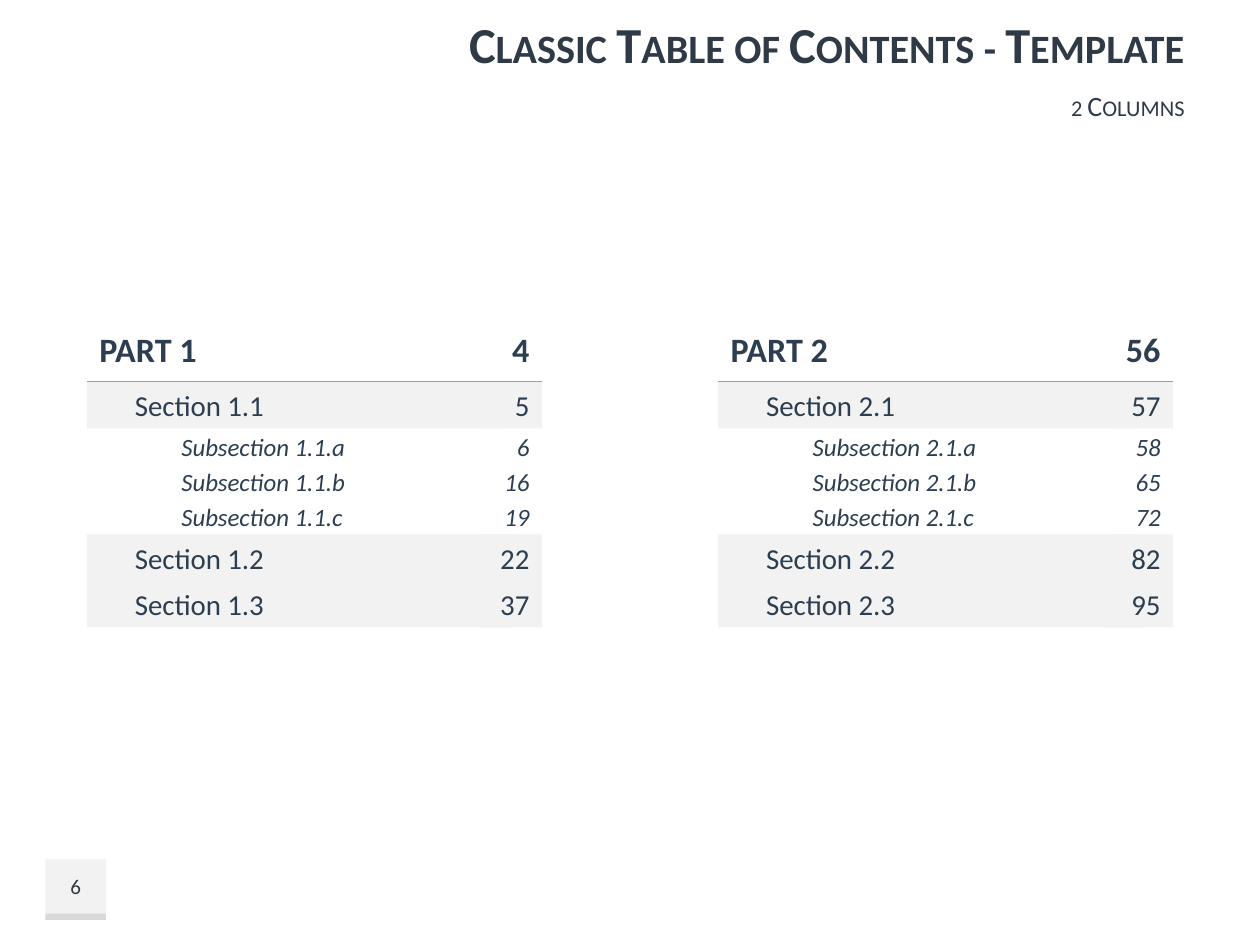
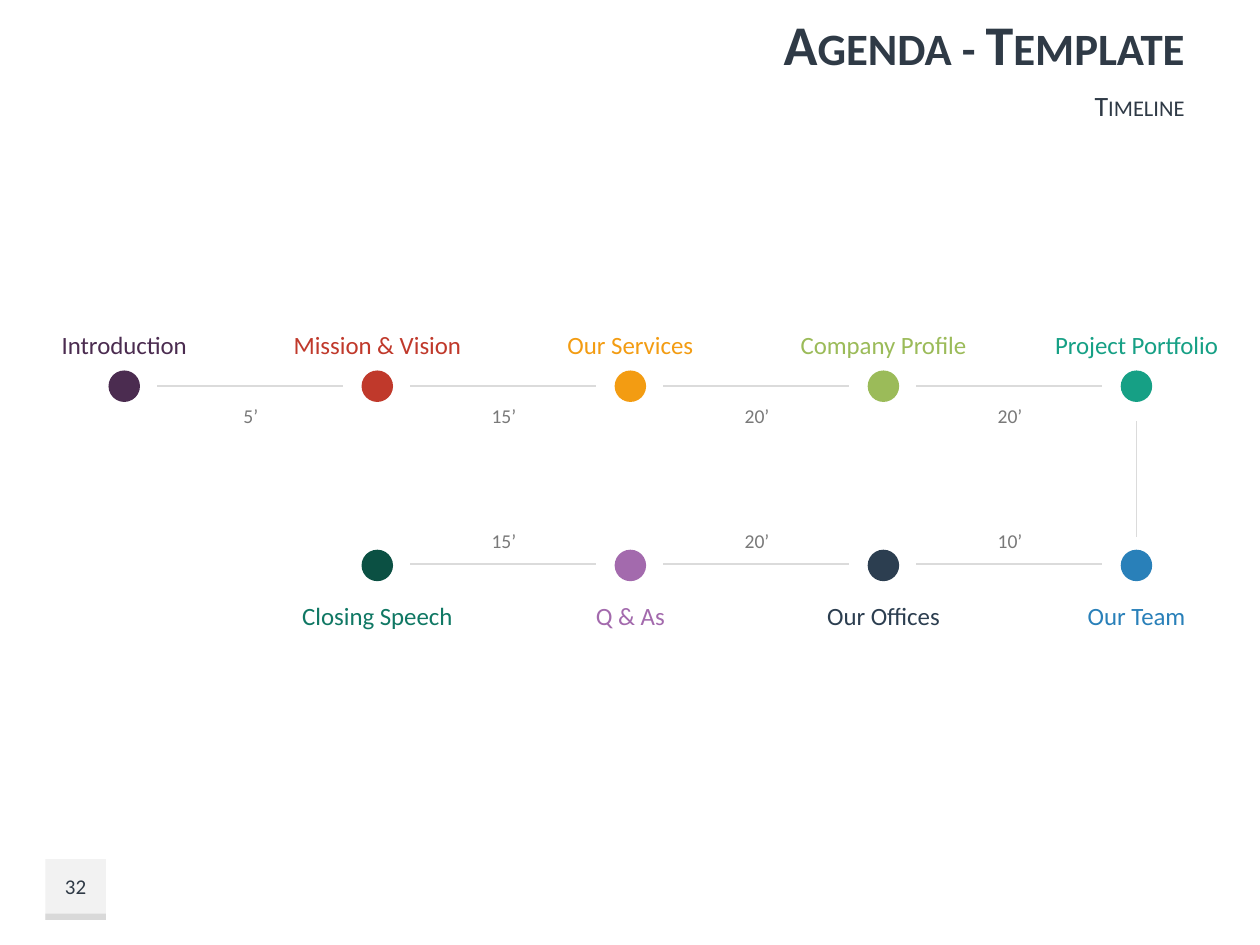
import lxml.etree
import pptx
import pptx.dml.color
import pptx.enum.shapes
import pptx.enum.text
import pptx.oxml.ns
import pptx.util

Pt = pptx.util.Pt
ALIGN = pptx.enum.text.PP_ALIGN
ANCHOR = pptx.enum.text.MSO_ANCHOR
SHAPE = pptx.enum.shapes.MSO_SHAPE

INK, NAVY, PALE, SHADE = "2F3A46", "2C3E50", "F2F2F2", "D9D9D9"
RULE, TRACK, NOTE = "95A5A6", "DBDBDB", "797979"


def paint(text):
    return pptx.dml.color.RGBColor.from_string(text)


class Deck:
    """Hold the shared style and the current slide, and draw each element."""

    def __init__(self):
        self.file = pptx.Presentation()
        self.file.slide_width, self.file.slide_height = Pt(720), Pt(540)
        self.font = "Calibri"
        self.slide = None

    def page(self, title, size, sub, number):
        self.slide = self.file.slides.add_slide(self.file.slide_layouts[6])
        self.block((25.9, 491, 34.6, 34.6), PALE)
        self.block((25.9, 522, 34.6, 3.6), SHADE)
        self.text((229.7, 49, 454.3, 22.3), sub, 16, INK, ALIGN.RIGHT, small=True)
        self.text((229.7, 0, 454.3, 49), title, size, INK, ALIGN.RIGHT,
                  bold=True, small=True)
        self.text((25.9, 491, 34.6, 31), number, 12, INK, ALIGN.CENTER)

    def block(self, box, fill, kind=SHAPE.RECTANGLE):
        shape = self.slide.shapes.add_shape(kind, *map(Pt, box))
        shape.shadow.inherit = False
        shape.fill.solid()
        shape.fill.fore_color.rgb = paint(fill)
        shape.line.fill.background()
        return shape

    def text(self, box, words, size, ink, align=ALIGN.LEFT, anchor=ANCHOR.MIDDLE,
             fill=None, left=7.2, bold=False, slant=False, small=False, grow=False):
        if fill:
            shape = self.block(box, fill)
        else:
            shape = self.slide.shapes.add_textbox(*map(Pt, box))
        frame = shape.text_frame
        frame.word_wrap = True
        frame.vertical_anchor = anchor
        frame.margin_left = Pt(left)
        if grow:
            frame.auto_size = pptx.enum.text.MSO_AUTO_SIZE.SHAPE_TO_FIT_TEXT
        frame.text = words
        para = frame.paragraphs[0]
        para.alignment = align
        font = para.runs[0].font
        font.name, font.size = self.font, Pt(size)
        font.bold, font.italic = bold, slant
        font.color.rgb = paint(ink)
        if small:
            para.runs[0]._r.get_or_add_rPr().set("cap", "small")

    def line(self, ends, ink):
        kind = pptx.enum.shapes.MSO_CONNECTOR.STRAIGHT
        line = self.slide.shapes.add_connector(kind, *map(Pt, ends))
        line.line.color.rgb = paint(ink)
        line.line.width = Pt(0.75)
        lxml.etree.SubElement(line._element.spPr, pptx.oxml.ns.qn("a:effectLst"))

    def column(self, x, rows):
        looks = {
            "part": (37.4, 7.2, dict(size=19.5, bold=True)),
            "head": (26.64, 27.4, dict(size=16.5, fill=PALE)),
            "sub": (20.16, 54, dict(size=14.2, slant=True)),
        }
        top = 180.8
        for level, label, number in rows:
            high, left, look = looks[level]
            self.text((x, top, 242.6, high), label, ink=NAVY, left=left, **look)
            self.text((x + 224.6, top, 35.3, high), number, ink=NAVY, left=5,
                      align=ALIGN.RIGHT, **look)
            top += high
        self.line((x, 218.2, x + 260, 218.2), RULE)

    def track(self, first, dot, label, note, rail, anchor, stops, times):
        spots = [71 + 144.6 * (first + i) for i in range(len(stops))]
        for mid, time in zip(spots, times):
            self.line((mid + 18.8, rail, mid + 124.8, rail), TRACK)
            self.text((mid + 16.2, note, 112.3, 20.9), time, 11.2, NOTE,
                      ALIGN.CENTER, ANCHOR.TOP, grow=True)
        for mid, (name, fill, ink) in zip(spots, stops):
            self.block((mid - 9, dot, 18, 18), fill, SHAPE.OVAL)
            wide = 98 if mid < 100 else 114.5
            self.text((mid - wide / 2, label, wide, 24.5), name, 14.2, ink,
                      ALIGN.CENTER, anchor, grow=True)


def main():
    deck = Deck()

    deck.page("Classic Table of Contents - Template", 28.8, "2 Columns", "6")
    pages = [("4", "5", "6", "16", "19", "22", "37"),
             ("56", "57", "58", "65", "72", "82", "95")]
    for part, numbers in enumerate(pages, 1):
        labels = [("part", f"PART {part}"), ("head", f"Section {part}.1")]
        labels += [("sub", f"Subsection {part}.1.{mark}") for mark in "abc"]
        labels += [("head", f"Section {part}.{n}") for n in (2, 3)]
        rows = [(*label, number) for label, number in zip(labels, numbers)]
        deck.column(49.7 + 360.7 * (part - 1), rows)

    deck.page("Agenda - Template", 32, "Timeline", "32")
    deck.track(0, 211.7, 184.3, 227.5, 220.6, ANCHOR.BOTTOM, [
        ("Introduction", "4B2C50", "4B2C50"),
        ("Mission & Vision", "C0392B", "C0392B"),
        ("Our Services", "F39C12", "F39C12"),
        ("Company Profile", "9BBB59", "9BBB59"),
        ("Project Portfolio", "16A085", "16A085"),
    ], ["5’", "15’", "20’", "20’"])
    deck.track(1, 314.1, 339.8, 298.8, 322.3, ANCHOR.TOP, [
        ("Closing Speech", "0B5043", "107864"),
        ("Q & As", "A36AAD", "A36AAD"),
        ("Our Offices", NAVY, NAVY),
        ("Our Team", "2980B9", "2980B9"),
    ], ["15’", "20’", "10’"])
    deck.line((649.4, 240.8, 649.4, 307), TRACK)

    deck.file.save("out.pptx")


if __name__ == "__main__":
    main()
